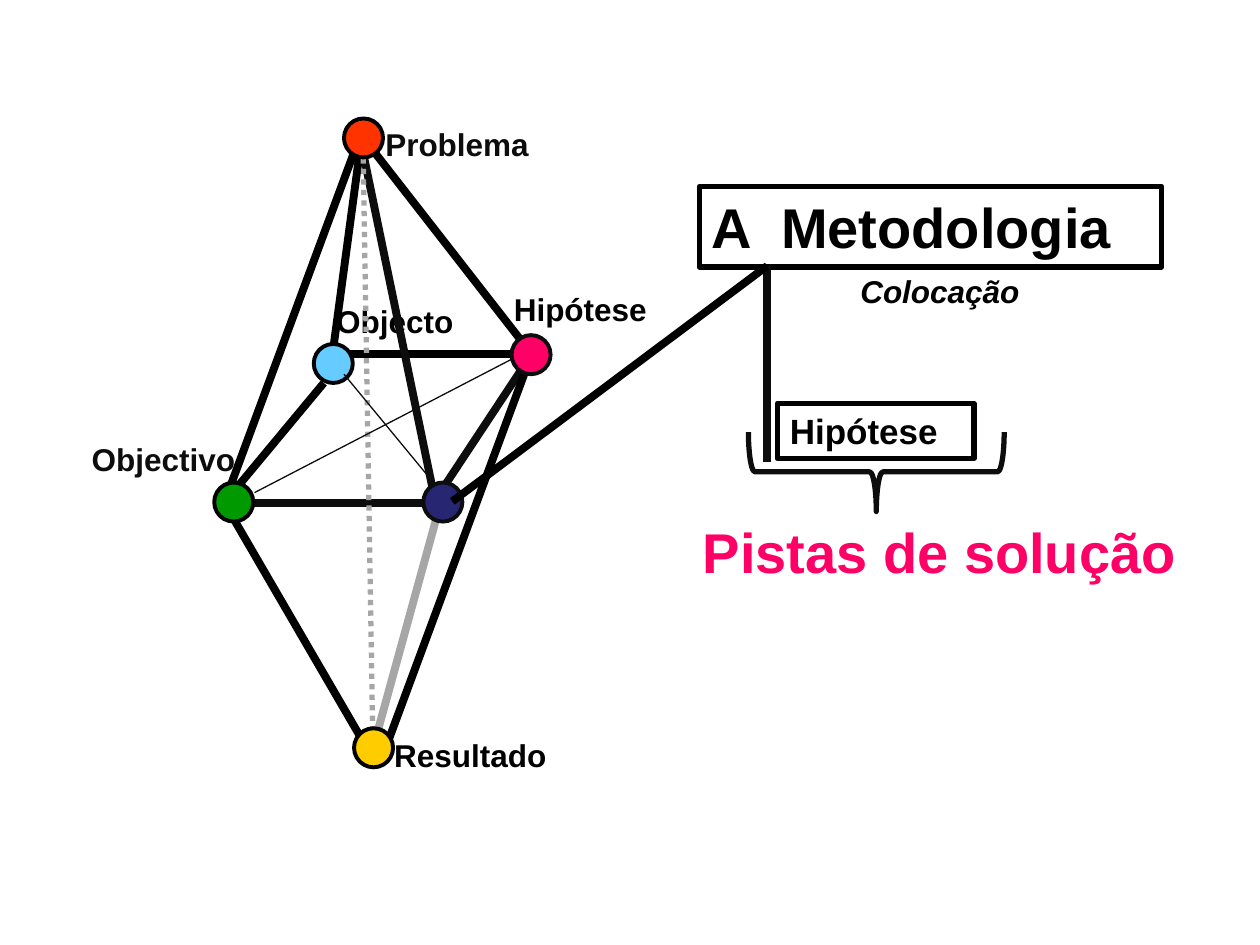
import pptx
import pptx.dml.color
import pptx.enum.dml
import pptx.enum.shapes
import pptx.enum.text
import pptx.util
from lxml import etree
from pptx.oxml.ns import qn

Inches = pptx.util.Inches
Pt = pptx.util.Pt
RGBColor = pptx.dml.color.RGBColor
MSO_SHAPE = pptx.enum.shapes.MSO_SHAPE

BLACK = RGBColor(0x00, 0x00, 0x00)
INK = RGBColor(0x0D, 0x0D, 0x0D)
GRAY = RGBColor(0xA6, 0xA6, 0xA6)
RED = RGBColor(0xFF, 0x33, 0x00)
YELLOW = RGBColor(0xFF, 0xCC, 0x00)
SKY = RGBColor(0x66, 0xCC, 0xFF)
GREEN = RGBColor(0x00, 0x99, 0x00)
NAVY = RGBColor(0x26, 0x26, 0x73)
PINK = RGBColor(0xFF, 0x00, 0x66)

FONT = "Arial"
NODE_SIZE = 0.31


def add_text(slide, text, x, y, w, h, size=18, color=BLACK, italic=False,
             border=False, wrap=True):
    """Bold left-aligned text, in a black frame if border is set."""
    box = Inches(x), Inches(y), Inches(w), Inches(h)
    if border:
        sp = slide.shapes.add_shape(MSO_SHAPE.RECTANGLE, *box)
        sp.shadow.inherit = False
        sp.fill.background()
        sp.line.color.rgb = BLACK
        sp.line.width = Pt(3)
    else:
        sp = slide.shapes.add_textbox(*box)
    tf = sp.text_frame
    tf.word_wrap = wrap
    tf.auto_size = pptx.enum.text.MSO_AUTO_SIZE.SHAPE_TO_FIT_TEXT
    tf.vertical_anchor = pptx.enum.text.MSO_ANCHOR.TOP
    tf.text = text
    p = tf.paragraphs[0]
    p.alignment = pptx.enum.text.PP_ALIGN.LEFT
    font = p.runs[0].font
    font.name, font.size = FONT, Pt(size)
    font.bold, font.italic = True, italic
    font.color.rgb = color


def add_line(slide, start, end, color=BLACK, width=4.5, dotted=False):
    line = slide.shapes.add_connector(
        pptx.enum.shapes.MSO_CONNECTOR.STRAIGHT,
        *(Inches(v) for v in (*start, *end)))
    line.line.color.rgb = color
    line.line.width = Pt(width)
    if dotted:
        line.line.dash_style = pptx.enum.dml.MSO_LINE.ROUND_DOT
    etree.SubElement(line._element.spPr, qn("a:effectLst"))


def add_node(slide, x, y, fill, outline):
    sp = slide.shapes.add_shape(MSO_SHAPE.OVAL, Inches(x), Inches(y),
                                Inches(NODE_SIZE), Inches(NODE_SIZE))
    sp.shadow.inherit = False
    sp.fill.solid()
    sp.fill.fore_color.rgb = fill
    sp.line.color.rgb = outline
    sp.line.width = Pt(2.25)


def add_bipyramid(slide, left, top):
    """Double pyramid linking the six elements of the research."""
    def at(point):
        return left + point[0], top + point[1]

    # Labels
    for text, x, y, w, color in (
            ("Problema", 2.33, 0, 1.5, INK),
            ("Objectivo", 0, 2.5, 1.43, INK),
            ("Objecto", 1.94, 1.41, 1.34, BLACK),
            ("Resultado", 2.4, 4.85, 1.57, BLACK),
            ("Hipótese", 3.35, 1.31, 1.5, BLACK)):
        add_text(slide, text, *at((x, y)), w, 0.4, color=color)

    # Edges
    apex, apex_low = (2.25, 0.08), (2.25, 0.15)
    goal, hypothesis, base = (1.15, 3.05), (3.59, 1.87), (2.33, 5)
    for start, end, color in (
            (apex, (2.02, 1.79), BLACK),
            ((2.1, 1.87), hypothesis, BLACK),
            ((1.94, 2.1), goal, BLACK),
            (goal, (2.88, 3.05), INK),
            (hypothesis, (2.81, 3.05), INK),
            (apex, goal, BLACK),
            (apex_low, hypothesis, BLACK),
            (goal, (2.33, 5.08), BLACK),
            (hypothesis, (2.4, 5.08), BLACK),
            ((2.87, 3.04), base, GRAY),
            ((2.26, 0.31), (2.81, 2.97), INK)):
        add_line(slide, at(start), at(end), color)
    add_line(slide, at(apex_low), at(base), GRAY, 3, dotted=True)

    # Nodes
    for x, y, fill, outline in (
            (2.1, 0, RED, BLACK),
            (2.18, 4.84, YELLOW, BLACK),
            (1.86, 1.79, SKY, BLACK),
            (1.07, 2.89, GREEN, BLACK),
            (2.73, 2.89, NAVY, INK)):
        add_node(slide, *at((x, y)), fill, outline)

    # Thin diagonals of the middle square, ending under the pink node
    add_line(slide, at((1.39, 2.97)), at((3.51, 1.87)), INK, 0.75)
    add_line(slide, at((2.1, 2.03)), at((2.81, 2.89)), INK, 0.75)
    add_node(slide, *at((3.43, 1.72)), PINK, INK)


def add_methodology(slide, left, top, width):
    """Heading, framed hypothesis, brace and conclusion."""
    add_text(slide, "A  Metodologia", left + 0.07, top, 3.67, 0.64,
             size=32, border=True)
    add_text(slide, "Colocação", left + 1.25, top + 0.63, 1.5, 0.4,
             italic=True, wrap=False)
    add_text(slide, "Hipótese", left + 0.69, top + 1.72, 1.56, 0.44,
             size=20, border=True)
    stem_x = left + 0.61
    add_line(slide, (stem_x, top + 0.63), (stem_x, top + 2.19), INK)

    # Brace turned to point down
    brace = slide.shapes.add_shape(
        MSO_SHAPE.LEFT_BRACE, Inches(left + 1.16), Inches(top + 1.25),
        Inches(0.63), Inches(2.03))
    brace.rotation = 270
    brace.shadow.inherit = False
    brace.fill.background()
    brace.line.color.rgb = INK
    brace.line.width = Pt(3)

    add_text(slide, "Pistas de solução", left, top + 2.58, width, 0.64,
             size=32, color=PINK, wrap=False)


def main():
    prs = pptx.Presentation()
    prs.slide_width, prs.slide_height = Inches(10), Inches(7.5)
    slide = prs.slides.add_slide(prs.slide_layouts[6])
    add_bipyramid(slide, 0.63, 0.94)
    add_methodology(slide, 5.48, 1.48, 3.96)
    # Link from the navy node to the heading
    add_line(slide, (3.59, 3.98), (6.09, 2.11))
    prs.save("out.pptx")


if __name__ == "__main__":
    main()
